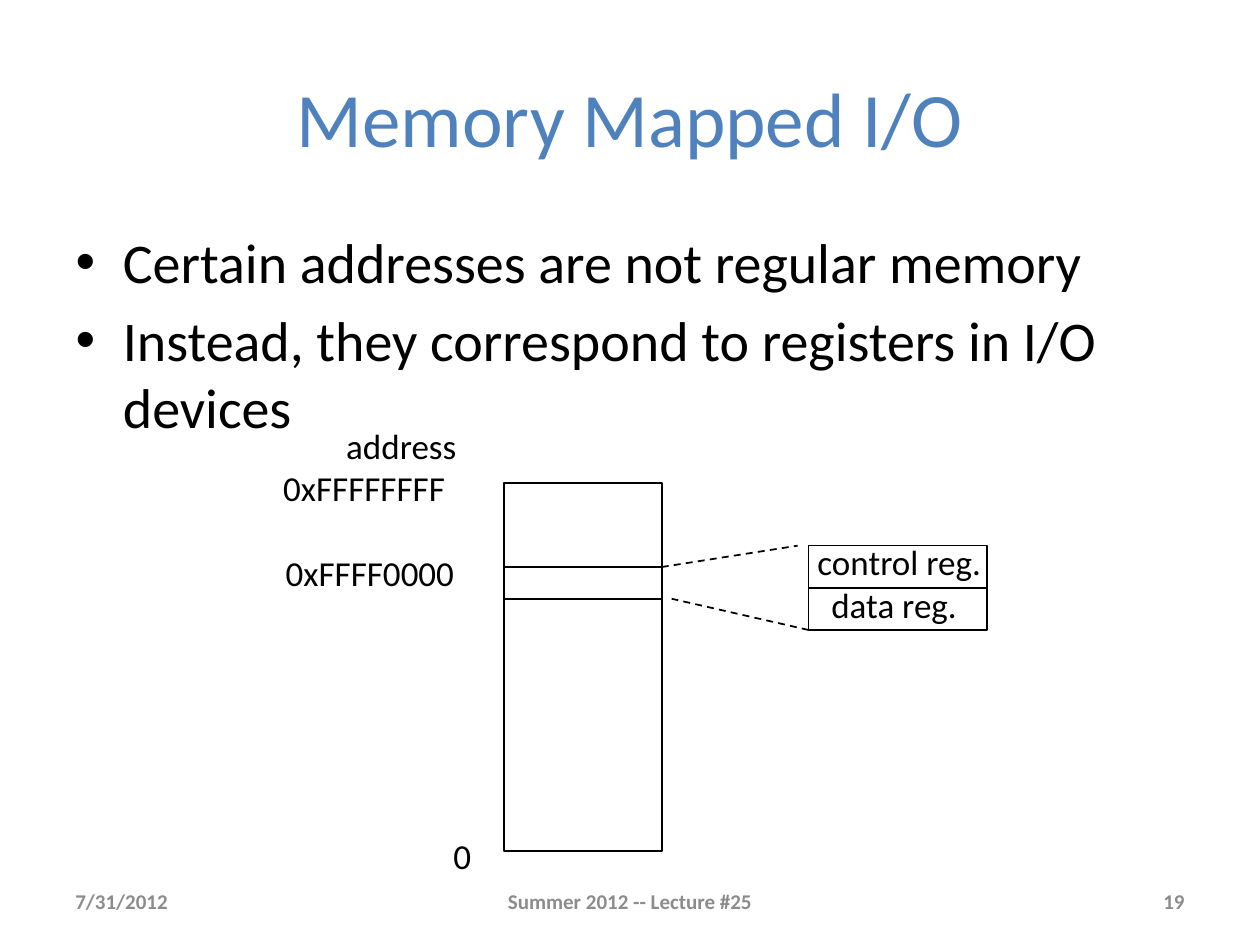
"""Build the Memory Mapped I/O lecture slide."""
from lxml import etree
from pptx import Presentation
from pptx import util as u
from pptx.dml.color import RGBColor
from pptx.enum import dml, shapes, text
from pptx.oxml.ns import qn

BLACK = RGBColor(0, 0, 0)
BLUE = RGBColor(0x4F, 0x81, 0xBD)
GRAY = RGBColor(0x8C, 0x8C, 0x8C)
LEFT, MID, RIGHT = text.PP_ALIGN.LEFT, text.PP_ALIGN.CENTER, text.PP_ALIGN.RIGHT

TITLE = "Memory Mapped I/O"
POINTS = [
    "Certain addresses are not regular memory",
    "Instead, they correspond to registers in I/O devices",
]
MEM = (10.16, 9.74, 3.18, 7.41)
SLOT = (10.16, 11.43, 3.18, 0.64)
REGS = ["control reg.", "data reg."]
REG_X, REG_Y, REG_W, REG_H = 16.3, 11.0, 3.6, 0.85
REG_TEXT = [16.23, 16.51]
LABELS = [
    ("address", 6.73, 8.43),
    ("0xFFFFFFFF", 5.46, 9.27),
    ("0xFFFF0000", 5.51, 11.0),
    ("0", 8.89, 16.69),
]
DASHES = [
    (13.34, 11.43, 16.08, 11.0),
    (16.3, 12.7, 13.54, 12.07),
]
FOOTS = [
    ("7/31/2012", 1.27, 5.93, LEFT),
    ("Summer 2012 -- Lecture #25", 8.68, 8.04, MID),
    ("19", 18.2, 5.93, RIGHT),
]


def style(para, size, color, align, bold=False):
    para.alignment = align
    for run in para.runs:
        font = run.font
        font.name, font.size, font.bold = "Calibri", u.Pt(size), bold
        font.color.rgb = color


def place(shape, *box):
    shape.left, shape.top, shape.width, shape.height = map(u.Cm, box)


def label(slide, words, box, size=20, color=BLACK, align=LEFT, bold=False):
    frame = slide.shapes.add_textbox(*map(u.Cm, box)).text_frame
    frame.word_wrap = True
    frame.text = words
    style(frame.paragraphs[0], size, color, align, bold)
    return frame


def block(slide, box):
    rect = slide.shapes.add_shape(shapes.MSO_SHAPE.RECTANGLE, *map(u.Cm, box))
    rect.shadow.inherit = False
    rect.fill.background()
    rect.line.color.rgb = BLACK
    rect.line.width = u.Pt(1)


def dash(slide, ends):
    line = slide.shapes.add_connector(shapes.MSO_CONNECTOR.STRAIGHT, *map(u.Cm, ends))
    line.line.color.rgb = BLACK
    line.line.width = u.Pt(1)
    line.line.dash_style = dml.MSO_LINE.DASH
    etree.SubElement(line._element.spPr, qn("a:effectLst"))


def main():
    deck = Presentation()
    deck.slide_width, deck.slide_height = u.Cm(25.4), u.Cm(19.05)
    slide = deck.slides.add_slide(deck.slide_layouts[1])

    title, body = slide.placeholders
    place(title, 1.27, 0.76, 22.86, 3.18)
    title.text_frame.text = TITLE
    style(title.text_frame.paragraphs[0], 44, BLUE, MID)

    place(body, 1.27, 4.45, 22.86, 12.57)
    body.text_frame.text = "\n".join(POINTS)
    for i, para in enumerate(body.text_frame.paragraphs):
        para.space_before = u.Pt(6.4 if i else 0)
        style(para, 32, BLACK, LEFT)

    for box in (MEM, SLOT):
        block(slide, box)
    for i, (name, left) in enumerate(zip(REGS, REG_TEXT)):
        top = REG_Y + i * REG_H
        block(slide, (REG_X, top, REG_W, REG_H))
        label(slide, name, (left, top - 0.22, 4.1, 1.1))
    for ends in DASHES:
        dash(slide, ends)
    for name, left, top in LABELS:
        label(slide, name, (left, top, 4.2, 1.1))
    for name, left, width, align in FOOTS:
        frame = label(slide, name, (left, 17.65, width, 1.02), 12, GRAY, align, True)
        frame.vertical_anchor = text.MSO_ANCHOR.MIDDLE

    deck.save("out.pptx")


if __name__ == "__main__":
    main()
